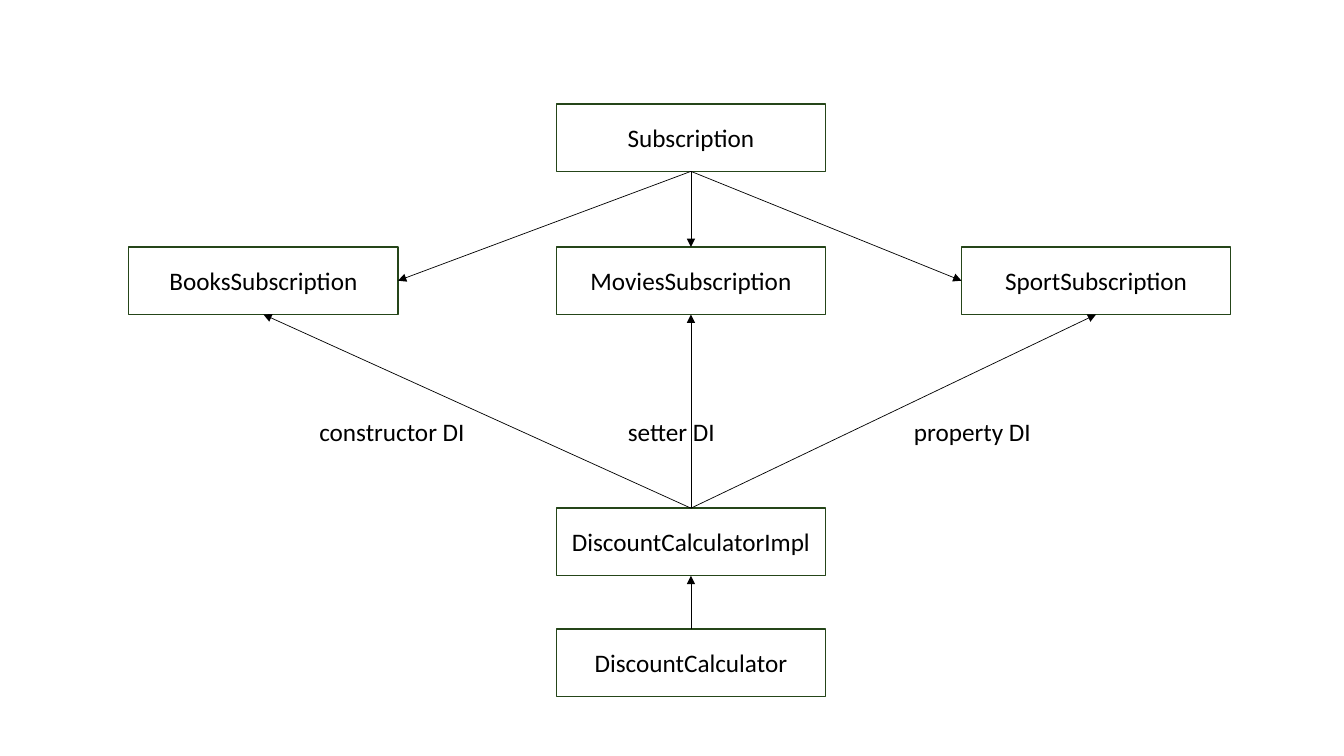
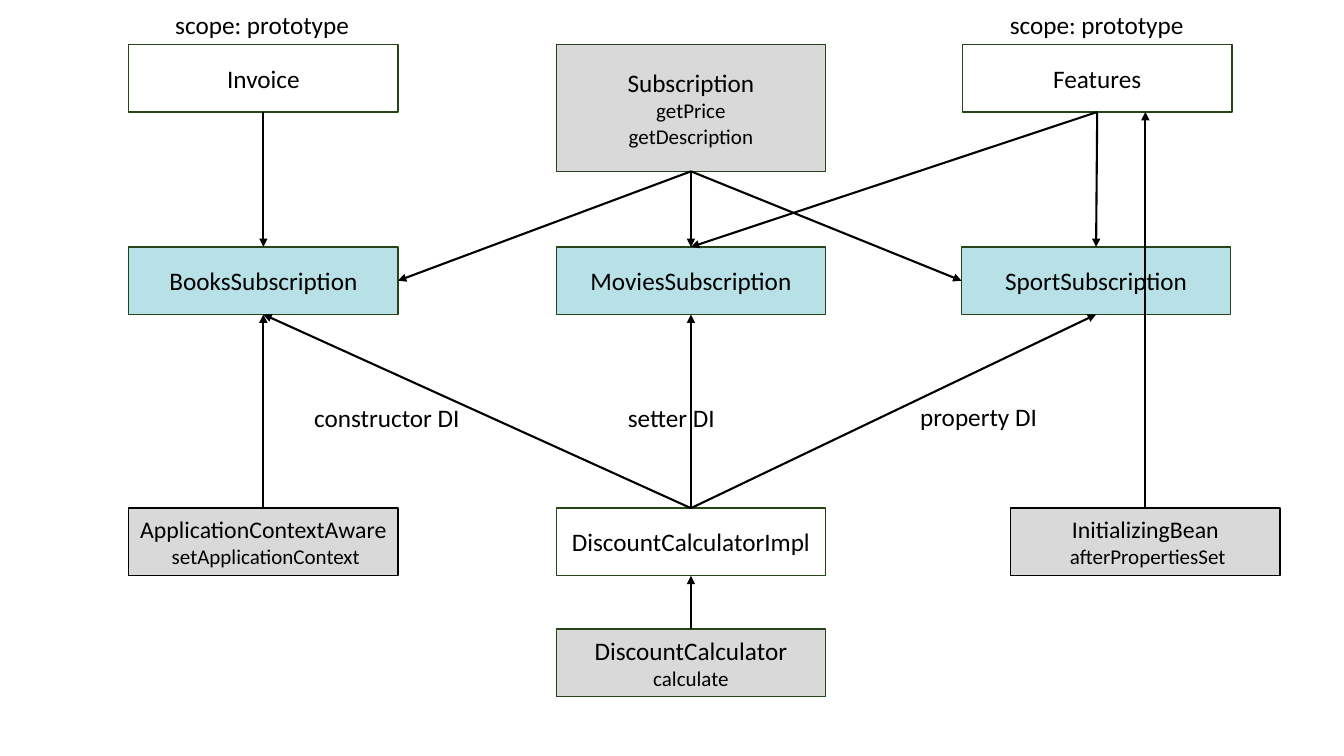
import pptx
import pptx.util
import pptx.dml.color
import pptx.enum.shapes
import pptx.enum.text
import pptx.oxml
import pptx.oxml.ns
from dataclasses import dataclass

Pt = pptx.util.Pt
RGB = pptx.dml.color.RGBColor.from_string


@dataclass(frozen=True)
class Theme:
    font: str = "Calibri"
    text: str = "000000"
    outline: str = "254519"
    interface: str = "D9D9D9"
    subscription: str = "B7E1E7"
    name_size: float = 18
    long_name_size: float = 17
    method_size: float = 15


theme = Theme()
BOX_W, BOX_H = 192.3, 48.2
LEFT, MIDDLE, RIGHT = 92, 397.4, 686.8
TOP_ROW, SUBSCRIPTION_ROW, IMPL_ROW, CALCULATOR_ROW = 31.8, 176.4, 363, 449.4
SUBSCRIPTION_BOTTOM = 122.4
TOP, SIDE_LEFT, BOTTOM, SIDE_RIGHT = range(4)


def add_box(s, x, y, lines, fill=None, h=BOX_H, outline=theme.outline, size=theme.name_size):
    sp = s.shapes.add_shape(pptx.enum.shapes.MSO_SHAPE.FLOWCHART_PROCESS,
                            Pt(x), Pt(y), Pt(BOX_W), Pt(h))
    sp.shadow.inherit = False
    if fill:
        sp.fill.solid()
        sp.fill.fore_color.rgb = RGB(fill)
    else:
        sp.fill.background()
    sp.line.color.rgb = RGB(outline)
    sp.line.width = Pt(1)
    tf = sp.text_frame
    tf.vertical_anchor = pptx.enum.text.MSO_ANCHOR.MIDDLE
    tf.text = "\n".join(lines)
    for i, p in enumerate(tf.paragraphs):
        p.alignment = pptx.enum.text.PP_ALIGN.CENTER
        p.font.name = theme.font
        p.font.size = Pt(theme.method_size if i else size)
        p.font.color.rgb = RGB(theme.text)
    return sp


def add_arrow(s, weight, start, start_site, end, end_site=None):
    line = s.shapes.add_connector(pptx.enum.shapes.MSO_CONNECTOR.STRAIGHT, 0, 0, 0, 0)
    line.begin_connect(start, start_site)
    if end_site is None:
        line.end_x, line.end_y = line.begin_x, end.top + end.height
    else:
        line.end_connect(end, end_site)
    line.line.color.rgb = RGB(theme.text)
    line.line.width = Pt(weight)
    ln = line.line._get_or_add_ln()
    ln.append(pptx.oxml.parse_xml(
        '<a:tailEnd %s type="triangle"/>' % pptx.oxml.ns.nsdecls("a")))
    line._element.spPr.append(pptx.oxml.parse_xml(
        "<a:effectLst %s/>" % pptx.oxml.ns.nsdecls("a")))


prs = pptx.Presentation()
prs.slide_width, prs.slide_height = Pt(960), Pt(540)

diagrams = [
    dict(weight=0.5, detailed=False, subscription_top=74.2,
         labels=[("constructor DI", 221, 293.8, 119.5),
                 ("setter DI", 441.4, 293.8, 77.8),
                 ("property DI", 645.8, 293.8, 98.6)]),
    dict(weight=1.5, detailed=True, subscription_top=TOP_ROW,
         labels=[("constructor DI", 217.4, 283.7, 119.5),
                 ("setter DI", 441.4, 283.7, 77.8),
                 ("property DI", 650.2, 283, 98.6),
                 ("scope: prototype", 118.1, 2.9, 140.4),
                 ("scope: prototype", 714.2, 2.9, 140.4)]),
]

for diagram in diagrams:
    s = prs.slides.add_slide(prs.slide_layouts[6])
    detailed, weight = diagram["detailed"], diagram["weight"]
    interface_fill = theme.interface if detailed else None
    subscription_fill = theme.subscription if detailed else None
    subscription_methods = ["getPrice", "getDescription"] if detailed else []
    calculator_methods = ["calculate"] if detailed else []

    top = diagram["subscription_top"]
    subscription = add_box(s, MIDDLE, top, ["Subscription"] + subscription_methods,
                           interface_fill, SUBSCRIPTION_BOTTOM - top)
    books, movies, sport = [
        add_box(s, x, SUBSCRIPTION_ROW, [name], subscription_fill)
        for x, name in [(LEFT, "BooksSubscription"), (MIDDLE, "MoviesSubscription"),
                        (RIGHT, "SportSubscription")]]
    calculator = add_box(s, MIDDLE, CALCULATOR_ROW,
                         ["DiscountCalculator"] + calculator_methods, interface_fill)
    impl = add_box(s, MIDDLE, IMPL_ROW, ["DiscountCalculatorImpl"])

    arrows = [(subscription, BOTTOM, movies, TOP),
              (subscription, BOTTOM, books, SIDE_RIGHT),
              (subscription, BOTTOM, sport, SIDE_LEFT),
              (calculator, TOP, impl, BOTTOM)]
    arrows += [(impl, TOP, target, BOTTOM) for target in (books, movies, sport)]

    if detailed:
        invoice = add_box(s, LEFT, TOP_ROW, ["Invoice"])
        features = add_box(s, RIGHT + 0.8, TOP_ROW, ["Features"])
        context_aware, initializing = [
            add_box(s, x, IMPL_ROW, lines, theme.interface,
                    outline=theme.text, size=theme.long_name_size)
            for x, lines in [(LEFT, ["ApplicationContextAware", " setApplicationContext"]),
                             (722, ["InitializingBean", " afterPropertiesSet"])]]
        arrows += [(context_aware, TOP, books, BOTTOM),
                   (invoice, BOTTOM, books, TOP),
                   (features, BOTTOM, sport, TOP),
                   (features, BOTTOM, movies, TOP),
                   (initializing, TOP, features)]

    for arrow in arrows:
        add_arrow(s, weight, *arrow)

    for text, x, y, w in diagram["labels"]:
        tf = s.shapes.add_textbox(Pt(x), Pt(y), Pt(w), Pt(29)).text_frame
        tf.word_wrap = False
        tf.auto_size = pptx.enum.text.MSO_AUTO_SIZE.SHAPE_TO_FIT_TEXT
        p = tf.paragraphs[0]
        p.text = text
        p.font.name = theme.font
        p.font.size = Pt(theme.name_size)
        p.font.color.rgb = RGB(theme.text)

prs.save("out.pptx")
